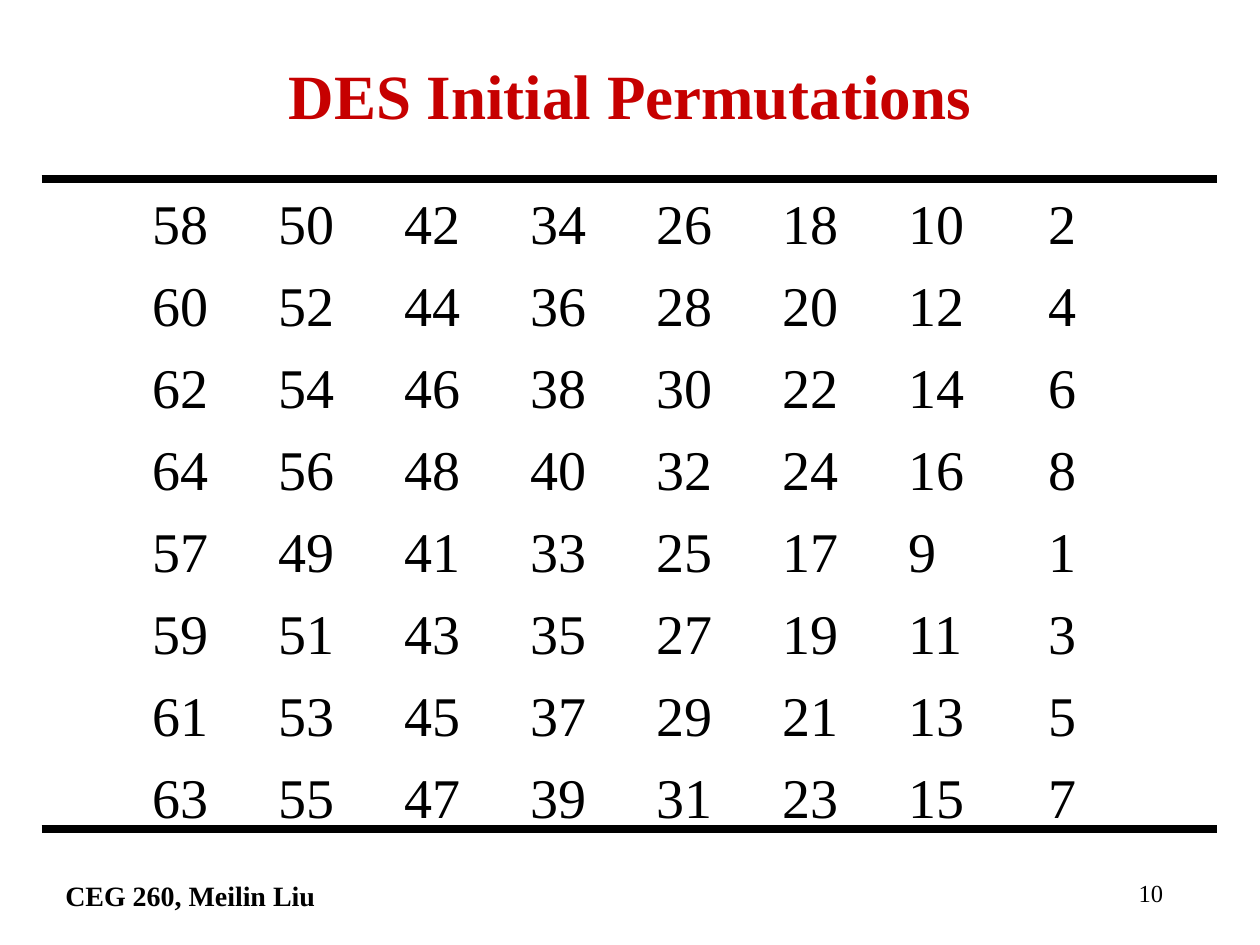
from lxml.etree import SubElement
from pptx import Presentation
from pptx.dml.color import RGBColor
from pptx.enum.shapes import MSO_CONNECTOR
from pptx.enum.text import MSO_ANCHOR, PP_ALIGN
from pptx.oxml.ns import qn
from pptx.util import Inches, Pt

TITLE = "DES Initial Permutations"
COURSE = "CEG 260, Meilin Liu"
PAGE_NUMBER = "10"
ROW_STARTS = [58, 60, 62, 64, 57, 59, 61, 63]
BIT_STEP = 8  # each row counts down by this much

COLUMN_STOPS = [1, 2, 3, 4, 5, 6, 7.11]
RULE_HEIGHTS = [1.42, 6.58]
RULE_LEFT, RULE_RIGHT = 0.33, 9.66
BLACK, RED = "000000", "C60000"


def style(paragraph, size, color=BLACK, bold=False, align=PP_ALIGN.LEFT):
    paragraph.alignment = align
    font = paragraph.font
    font.name, font.size, font.bold = "Times New Roman", Pt(size), bold
    font.color.rgb = RGBColor.from_string(color)


def add_text(slide, left, top, width, height, text):
    box = slide.shapes.add_textbox(*map(Inches, (left, top, width, height)))
    box.text_frame.word_wrap = True
    box.text_frame.text = text
    return box.text_frame.paragraphs


def add_tab_stops(paragraph, stops):
    tab_list = SubElement(paragraph._p.get_or_add_pPr(), qn("a:tabLst"))
    for stop in stops:
        SubElement(tab_list, qn("a:tab"), pos=str(Inches(stop)), algn="l")


def add_rule(slide, y):
    rule = slide.shapes.add_connector(
        MSO_CONNECTOR.STRAIGHT,
        Inches(RULE_LEFT), Inches(y), Inches(RULE_RIGHT), Inches(y))
    rule.line.width = Pt(4.5)
    rule.line.color.rgb = RGBColor.from_string(BLACK)
    SubElement(rule._element.spPr, qn("a:effectLst"))


def main():
    prs = Presentation()
    prs.slide_width, prs.slide_height = Inches(10), Inches(7.5)
    slide = prs.slides.add_slide(prs.slide_layouts[5])

    title = slide.shapes.title
    title.left, title.top = Inches(0.75), Inches(0.33)
    title.width, title.height = Inches(8.5), Inches(0.83)
    title.text_frame.text = TITLE
    title.text_frame.vertical_anchor = MSO_ANCHOR.MIDDLE
    style(title.text_frame.paragraphs[0], 36, RED, True, PP_ALIGN.CENTER)

    rows = ["\t".join(map(str, range(start, 0, -BIT_STEP))) for start in ROW_STARTS]
    for i, row in enumerate(add_text(slide, 1.11, 1.59, 7.71, 5.03, "\n".join(rows))):
        add_tab_stops(row, COLUMN_STOPS)
        row.line_spacing = 0.7
        row.space_before = Pt(20 if i else 0)
        style(row, 32)

    for y in RULE_HEIGHTS:
        add_rule(slide, y)

    style(add_text(slide, 0.42, 6.92, 6.33, 0.42, COURSE)[0], 16, bold=True)
    style(add_text(slide, 7.25, 6.92, 2.08, 0.42, PAGE_NUMBER)[0], 14,
          align=PP_ALIGN.RIGHT)

    prs.save("out.pptx")


if __name__ == "__main__":
    main()
